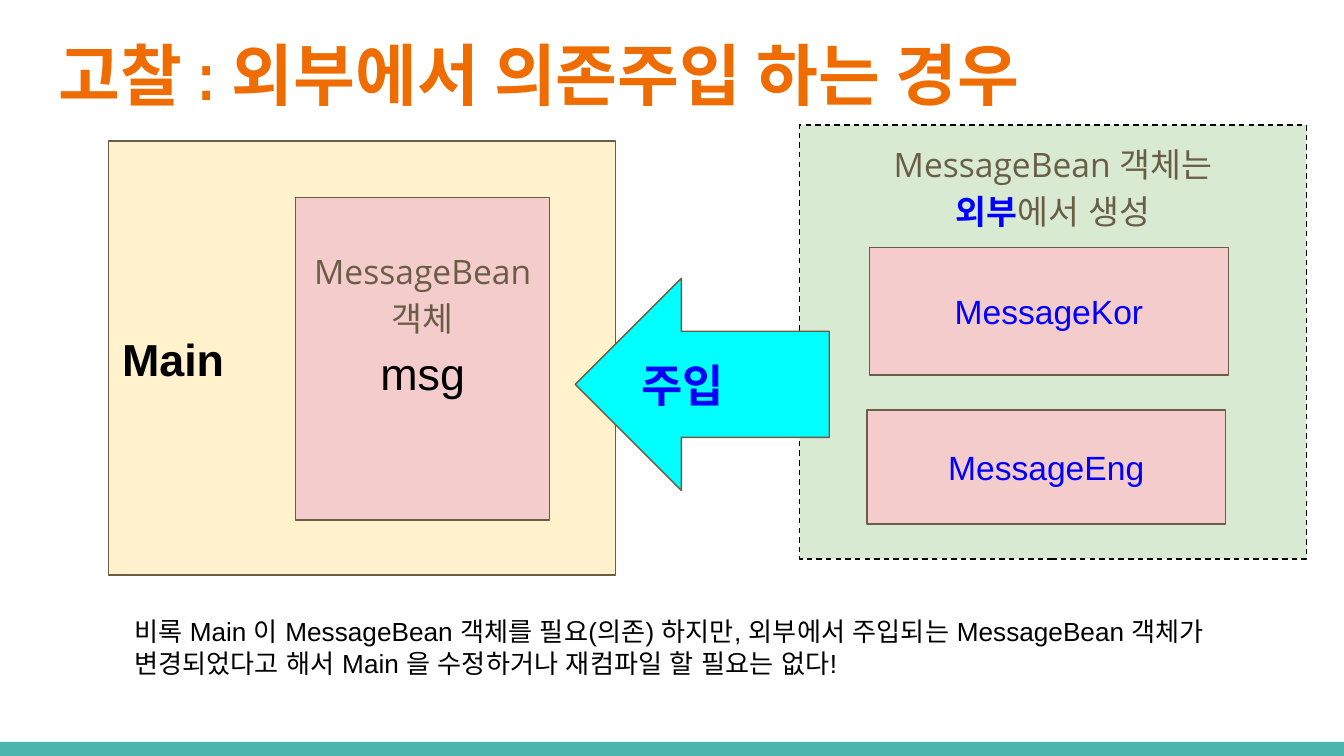
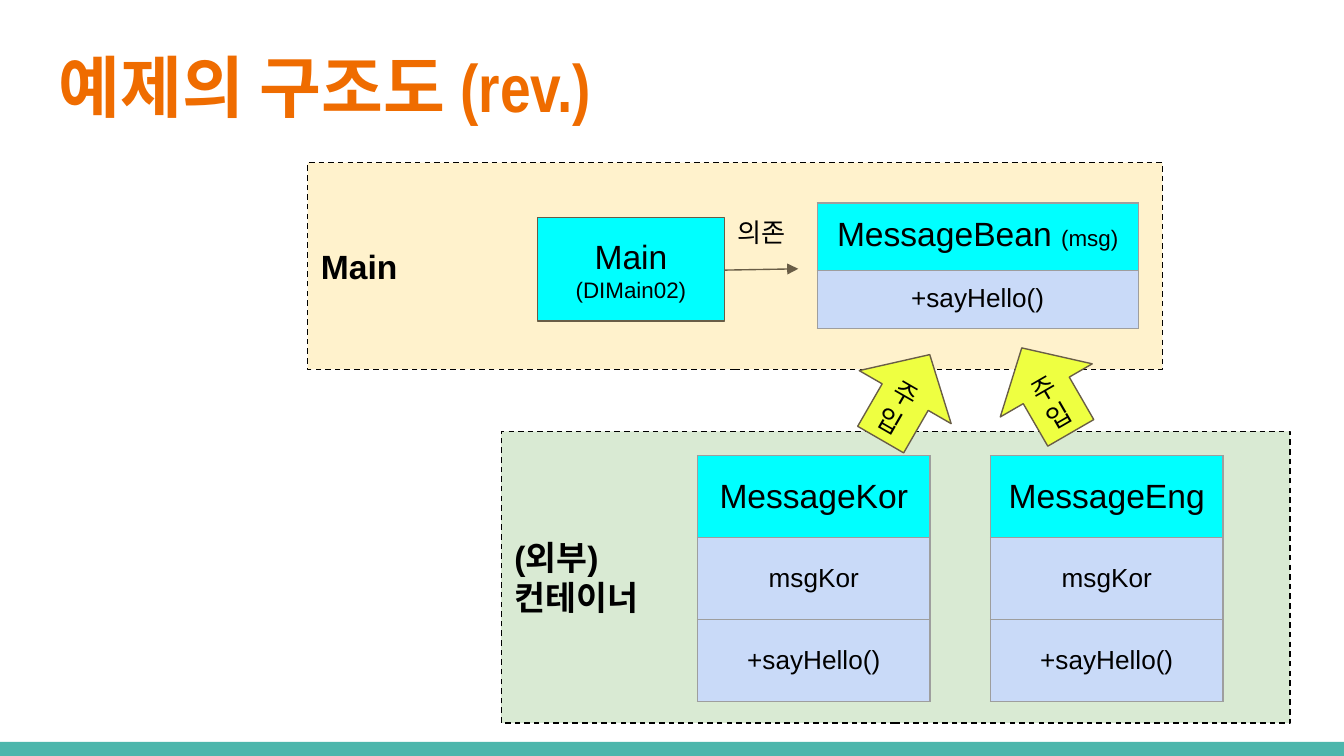
from dataclasses import dataclass
from typing import Optional

from lxml.etree import SubElement
from pptx import Presentation
from pptx.dml.color import RGBColor
from pptx.enum.dml import MSO_LINE
from pptx.enum.shapes import MSO_CONNECTOR, MSO_SHAPE as Preset
from pptx.enum.text import MSO_ANCHOR as Anchor, PP_ALIGN as Align
from pptx.oxml.ns import qn
from pptx.util import Emu, Pt

EMU_PER_PX = 9144  # 100 px to the inch
SLIDE_WIDTH = 1000
INSET = 10
LINE_WIDTH = Pt(0.75)

COLORS = {
    "footer": "4DB6AC",
    "title": "EF6C00",
    "black": "000000",
    "brown": "695D46",
    "blue": "0000FF",
    "cream": "FFF2CC",
    "green": "D9EAD3",
    "pink": "F4CCCC",
    "cyan": "00FFFF",
    "yellow": "EEFF41",
    "lavender": "C9DAF8",
    "grid": "9E9E9E",
}


@dataclass(frozen=True)
class Run:
    text: str
    size: int = 18
    color: str = "black"
    bold: bool = False
    font: str = "Arial"
    ends_line: bool = False


Paragraphs = tuple[tuple[Run, ...], ...]


@dataclass(frozen=True)
class Box:
    x: int
    y: int
    w: int
    h: int
    paragraphs: Paragraphs
    fill: Optional[str] = None
    line: str = "brown"
    dashed: bool = False
    preset: Preset = Preset.RECTANGLE
    align: Align = Align.LEFT
    anchor: Anchor = Anchor.MIDDLE
    line_spacing: float = 1.0
    bottom_inset: int = INSET
    rotation: int = 0


@dataclass(frozen=True)
class ClassTable:
    """A class diagram: a heading cell above its member cells."""
    x: int
    y: int
    w: int
    row_height: int
    heading: tuple[Run, ...]
    members: tuple[str, ...]
    anchor: Anchor = Anchor.MIDDLE


def px(length: int) -> Emu:
    return Emu(length * EMU_PER_PX)


def rgb(name: str) -> RGBColor:
    return RGBColor.from_string(COLORS[name])


def single(text: str, size: int = 18, color: str = "black", bold: bool = False) -> Paragraphs:
    """One paragraph made of one run."""
    return ((Run(text, size, color, bold),),)


def write_runs(paragraph, runs: tuple[Run, ...], align: Align) -> None:
    paragraph.alignment = align
    for part in runs:
        run = paragraph.add_run()
        run.text = part.text
        run.font.size = Pt(part.size)
        run.font.bold = part.bold
        run.font.color.rgb = rgb(part.color)
        run.font.name = part.font
        SubElement(run.font._element, qn("a:ea"), typeface=part.font)
        if part.ends_line:
            paragraph.add_line_break()


def draw_box(slide, box: Box) -> None:
    place = px(box.x), px(box.y), px(box.w), px(box.h)
    if box.fill is None:
        shape = slide.shapes.add_textbox(*place)
    else:
        shape = slide.shapes.add_shape(box.preset, *place)
        shape.shadow.inherit = False
        shape.fill.solid()
        shape.fill.fore_color.rgb = rgb(box.fill)
        shape.line.color.rgb = rgb(box.line)
        shape.line.width = LINE_WIDTH
        if box.dashed:
            shape.line.dash_style = MSO_LINE.DASH
        shape.rotation = box.rotation
    frame = shape.text_frame
    frame.word_wrap = True
    frame.vertical_anchor = box.anchor
    frame.margin_left = frame.margin_right = frame.margin_top = px(INSET)
    frame.margin_bottom = px(box.bottom_inset)
    for index, runs in enumerate(box.paragraphs):
        paragraph = frame.add_paragraph() if index else frame.paragraphs[0]
        paragraph.line_spacing = box.line_spacing
        write_runs(paragraph, runs, box.align)


def draw_cell(cell, runs: tuple[Run, ...], fill: str, anchor: Anchor) -> None:
    properties = cell._tc.get_or_add_tcPr()
    for side in ("lnL", "lnR", "lnT", "lnB"):
        border = SubElement(properties, qn(f"a:{side}"), w=str(LINE_WIDTH))
        SubElement(SubElement(border, qn("a:solidFill")), qn("a:srgbClr"), val=COLORS["grid"])
    cell.fill.solid()
    cell.fill.fore_color.rgb = rgb(fill)
    cell.vertical_anchor = anchor
    cell.margin_left = cell.margin_right = cell.margin_top = cell.margin_bottom = px(INSET)
    write_runs(cell.text_frame.paragraphs[0], runs, Align.CENTER)


def draw_class_table(slide, spec: ClassTable) -> None:
    rows = (spec.heading, *((Run(member, 14),) for member in spec.members))
    table = slide.shapes.add_table(
        len(rows), 1, px(spec.x), px(spec.y), px(spec.w), px(spec.row_height * len(rows))
    ).table
    table.first_row = table.horz_banding = False
    for index, runs in enumerate(rows):
        fill = "lavender" if index else "cyan"
        draw_cell(table.cell(index, 0), runs, fill, spec.anchor)


def draw_arrow(slide, x1: int, y1: int, x2: int, y2: int) -> None:
    arrow = slide.shapes.add_connector(MSO_CONNECTOR.STRAIGHT, px(x1), px(y1), px(x2), px(y2))
    arrow.line.color.rgb = rgb("brown")
    arrow.line.width = LINE_WIDTH
    SubElement(arrow.line._get_or_add_ln(), qn("a:tailEnd"), type="triangle")
    SubElement(arrow._element.spPr, qn("a:effectLst"))


def draw_title(slide, text: str, y: int, w: int) -> None:
    run = Run(text, 36, "title", True, "Arial Narrow")
    draw_box(slide, Box(34, y, w, 77, ((run,),), anchor=Anchor.TOP))


def new_slide(prs):
    """Add a blank slide with the footer band."""
    slide = prs.slides.add_slide(prs.slide_layouts[6])
    top = px(552)
    band = slide.shapes.add_shape(
        Preset.RECTANGLE, 0, top, prs.slide_width, prs.slide_height - top
    )
    band.shadow.inherit = False
    band.fill.solid()
    band.fill.fore_color.rgb = rgb("footer")
    band.line.fill.background()
    return slide


def build_injection_slide(prs) -> None:
    slide = new_slide(prs)
    draw_title(slide, "고찰 : 외부에서 의존주입 하는 경우", 15, 932)
    created_outside = (
        Run("MessageBean 객체는", color="brown", font="Open Sans", ends_line=True),
        Run("외부", color="blue", bold=True, font="Open Sans"),
        Run("에서 생성", color="brown", font="Open Sans"),
    )
    bean_field = (
        Run("MessageBean 객체", color="brown", font="Open Sans", ends_line=True),
        Run("msg", 24),
    )
    explanation = (
        "비록 Main 이 MessageBean 객체를 필요(의존) 하지만, 외부에서 주입되는 MessageBean 객체가 "
        "변경되었다고 해서 Main 을 수정하거나 재컴파일 할 필요는 없다!"
    )
    boxes = (
        Box(595, 93, 377, 323, (created_outside,), "green", "black", dashed=True,
            align=Align.CENTER, anchor=Anchor.TOP, line_spacing=1.15),
        Box(81, 105, 377, 323, single("Main", 24, bold=True), "cream"),
        Box(220, 147, 189, 240, (bean_field,), "pink", align=Align.CENTER,
            line_spacing=1.15, bottom_inset=64),
        Box(647, 184, 267, 95, single("MessageKor", color="blue"), "pink", align=Align.CENTER),
        Box(645, 305, 267, 85, single("MessageEng", color="blue"), "pink", align=Align.CENTER),
        Box(428, 207, 189, 158, single("주입", 24, "blue", True), "cyan",
            preset=Preset.LEFT_ARROW),
        Box(90, 448, 876, 59, single(explanation, 14), anchor=Anchor.TOP),
    )
    for box in boxes:
        draw_box(slide, box)


def build_structure_slide(prs) -> None:
    slide = new_slide(prs)
    container = ((Run("(외부)", bold=True),), (Run("컨테이너", bold=True),))
    main_class = ((Run("Main"),), (Run("(DIMain02)", 12),))
    draw_box(slide, Box(373, 321, 587, 217, container, "green", "black", dashed=True))
    draw_box(slide, Box(229, 121, 636, 154, single("Main", bold=True), "cream", "black",
                        dashed=True))
    draw_title(slide, "예제의 구조도 (rev.)", 24, 466)
    draw_box(slide, Box(400, 162, 139, 77, main_class, "cyan", align=Align.CENTER))

    bean_heading = (Run("MessageBean "), Run("(msg)", 12))
    draw_class_table(slide, ClassTable(608, 151, 239, 42, bean_heading, ("+sayHello()",),
                                       Anchor.TOP))
    draw_arrow(slide, 539, 201, 594, 200)
    for x, name in ((519, "MessageKor"), (737, "MessageEng")):
        draw_class_table(slide, ClassTable(x, 339, 173, 61, (Run(name),),
                                           ("msgKor", "+sayHello()")))

    draw_box(slide, Box(539, 151, 76, 39, single("의존", 14), anchor=Anchor.TOP))
    for x, y, rotation in ((634, 259, 30), (739, 254, 330)):
        draw_box(slide, Box(x, y, 79, 73, single("주입", 14), "yellow",
                            preset=Preset.UP_ARROW, rotation=rotation))


def main() -> None:
    prs = Presentation()
    prs.slide_width = px(SLIDE_WIDTH)
    prs.slide_height = Emu(prs.slide_width * 9 // 16)
    build_injection_slide(prs)
    build_structure_slide(prs)
    prs.save("out.pptx")


if __name__ == "__main__":
    main()
